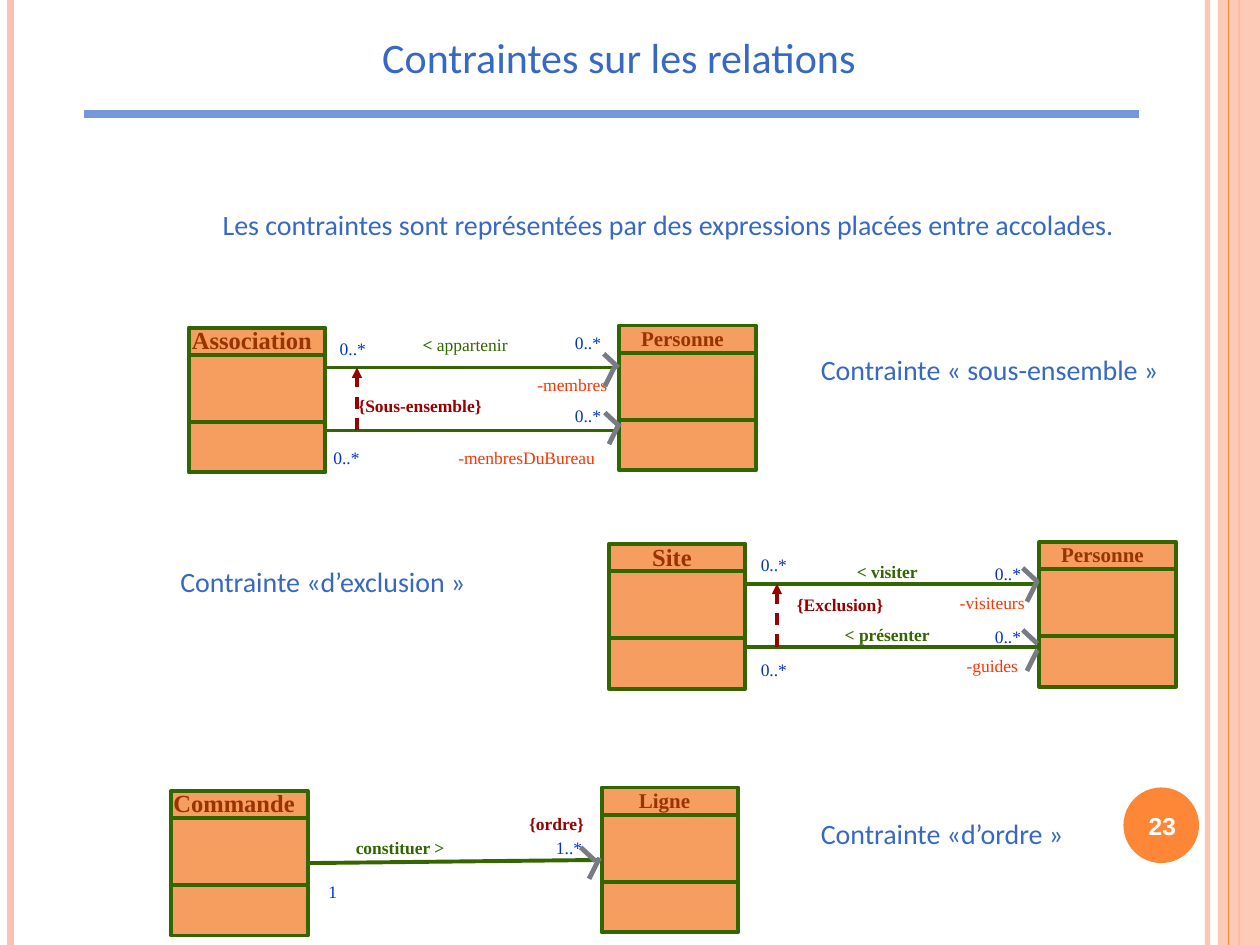
from dataclasses import dataclass

from lxml.etree import SubElement
from pptx import Presentation
from pptx.dml.color import RGBColor
from pptx.enum.dml import MSO_LINE
from pptx.enum.shapes import MSO_CONNECTOR, MSO_SHAPE
from pptx.enum.text import MSO_ANCHOR, MSO_AUTO_SIZE, PP_ALIGN
from pptx.oxml.ns import qn
from pptx.util import Inches, Pt

# The slide is a grid of 120 columns by 90 rows
COLUMNS, ROWS = 120, 90
COLORS = {
    "peach": "FEC3AE", "orange": "FE8637", "white": "FFFFFF",
    "rule": "7598D9", "heading": "3668C4", "class_fill": "F69D60",
    "green": "336600", "class_name": "993300", "constraint": "990000",
    "role": "FF3300", "multiplicity": "0033CC", "arrow": "777C84",
}
CLASS_WIDTH, CLASS_HEIGHT = 13, 13.8
SERIF = "Times New Roman"


@dataclass(frozen=True)
class UmlClass:
    name: str
    column: float
    row: float


@dataclass(frozen=True)
class Diagram:
    left: UmlClass
    right: UmlClass
    line_rows: tuple[float, ...] = ()  # empty: one line joins the side middles
    constraint_column: float = 0


@dataclass(frozen=True)
class Label:
    text: str
    kind: str
    column: float
    row: float
    width: float = 12
    align: PP_ALIGN = PP_ALIGN.CENTER


DIAGRAMS = [
    Diagram(UmlClass("Association", 18, 31.2), UmlClass("Personne", 59, 31), (35, 41), 34),
    Diagram(UmlClass("Site", 58, 51.8), UmlClass("Personne", 99, 51.6), (55.6, 61.6), 74),
    Diagram(UmlClass("Commande", 16.3, 75.3), UmlClass("Ligne", 57.3, 75)),
]
LABELS = [
    # Sous-ensemble
    Label("{Sous-ensemble}", "constraint", 21, 37, 38),
    Label("0..*", "multiplicity", 27.6, 31.6),
    Label("0..*", "multiplicity", 27, 42),
    Label("0..*", "multiplicity", 50, 31),
    Label("0..*", "multiplicity", 50, 38),
    Label("-membres", "role", 46, 35, 17),
    Label("-menbresDuBureau", "role", 37.3, 42, 25.7),
    # Exclusion
    Label("{Exclusion}", "constraint", 61, 56, 38),
    Label("< visiter", "green", 66, 52.8, 37),
    Label("< présenter", "green", 66, 58.8, 37),
    Label("0..*", "multiplicity", 67.7, 52.2),
    Label("0..*", "multiplicity", 67.7, 62.2),
    Label("0..*", "multiplicity", 90, 53),
    Label("0..*", "multiplicity", 90, 59),
    Label("-visiteurs", "role", 86, 55.8, 17),
    Label("-guides", "role", 86, 61.8, 17),
    # Ordre
    Label("{ordre}", "constraint", 34, 76.8, 38),
    Label("constituer >", "green", 32.7, 79.1, 14, PP_ALIGN.LEFT),
    Label("1..*", "multiplicity", 48.2, 79.1),
    Label("1", "multiplicity", 25.7, 83.3),
]
CAPTIONS = [
    ("Contrainte « sous-ensemble »", 77, 33),
    ("Contrainte «d’exclusion »", 16, 53.2),
    ("Contrainte «d’ordre »", 77, 77.2),
]
# Tips of the upper and lower strokes of each open arrowhead
ARROW_TIPS = [
    ((58.9, 35), (58.6, 34.8)),
    ((59, 40.6), (59, 40.3)),
    ((98.8, 55.4), (98.8, 55.3)),
    ((98.8, 61.3), (98.8, 61.9)),
    ((56.7, 82), (57.1, 81.7)),
]

presentation = Presentation()
presentation.slide_width, presentation.slide_height = Inches(10), Inches(7.5)
slide = presentation.slides.add_slide(presentation.slide_layouts[1])
shapes = slide.shapes


def across(columns: float) -> int:
    return round(presentation.slide_width * columns / COLUMNS)


def down(rows: float) -> int:
    return round(presentation.slide_height * rows / ROWS)


def rgb(name: str) -> RGBColor:
    return RGBColor.from_string(COLORS[name])


def box(column, row, width, height):
    return across(column), down(row), across(width), down(height)


def set_opacity(element, percent: int) -> None:
    color = next(element.iter(qn("a:srgbClr")))
    SubElement(color, qn("a:alpha"), val=str(percent * 1000))


def draw_line(start, end, color: str, width: float):
    line = shapes.add_connector(MSO_CONNECTOR.STRAIGHT, across(start[0]), down(start[1]),
                                across(end[0]), down(end[1]))
    line.line.color.rgb = rgb(color)
    line.line.width = Pt(width)
    SubElement(line._element.spPr, qn("a:effectLst"))
    return line


def draw_shape(kind, place, fill: str, line_color: str | None = None):
    shape = shapes.add_shape(kind, *box(*place))
    shape.shadow.inherit = False
    shape.fill.solid()
    shape.fill.fore_color.rgb = rgb(fill)
    if line_color:
        shape.line.color.rgb = rgb(line_color)
        shape.line.width = Pt(2.25)
    else:
        shape.line.fill.background()
    return shape


def write(text: str, place, *, holder=None, size=16, font="Calibri", color="heading",
          bold=False, align=PP_ALIGN.LEFT, anchor=MSO_ANCHOR.TOP, wrap=True):
    if holder is None:
        holder = shapes.add_textbox(*box(*place))
    else:
        holder.left, holder.top, holder.width, holder.height = box(*place)
    frame = holder.text_frame
    frame.word_wrap = wrap
    frame.auto_size = MSO_AUTO_SIZE.NONE
    frame.vertical_anchor = anchor
    paragraph = frame.paragraphs[0]
    properties = paragraph._p.get_or_add_pPr()
    properties.set("marL", "0")
    properties.set("indent", "0")
    paragraph.alignment = align
    paragraph.space_before = Pt(0)
    SubElement(properties, qn("a:buNone"))
    run = paragraph.add_run()
    run.text = text
    run.font.size, run.font.name, run.font.bold = Pt(size), font, bold
    run.font.color.rgb = rgb(color)
    return paragraph


def draw_class(uml_class: UmlClass, name_place, name_size: int):
    column, row = uml_class.column, uml_class.row
    outline = draw_shape(MSO_SHAPE.RECTANGLE, (column, row, CLASS_WIDTH, CLASS_HEIGHT),
                         "class_fill", "green")
    draw_shape(MSO_SHAPE.RECTANGLE, (column, row + 2.6, CLASS_WIDTH, 6.4),
               "class_fill", "green")
    shift, rise, width, height = name_place
    write(uml_class.name, (column + shift, row + rise, width, height), size=name_size,
          font=SERIF, color="class_name", bold=True, align=PP_ALIGN.CENTER)
    return outline


def draw_diagram(diagram: Diagram) -> None:
    left, right = diagram.left, diagram.right
    left_outline = draw_class(left, (-3, -0.8, 18, 4), 14)
    right_outline = draw_class(right, (-2, -0.6, 16, 3.6), 12)
    for row in diagram.line_rows or (left.row + CLASS_HEIGHT / 2,):
        line = draw_line((left.column + CLASS_WIDTH, row), (right.column, row), "green", 2.25)
    if diagram.line_rows:
        upper, lower = diagram.line_rows
        dashed = draw_line((diagram.constraint_column, lower),
                           (diagram.constraint_column, upper), "constraint", 1.75)
        dashed.line.dash_style = MSO_LINE.DASH
        SubElement(dashed.line._get_or_add_ln(), qn("a:tailEnd"), type="triangle")
    else:
        line.begin_connect(left_outline, 3)
        line.end_connect(right_outline, 1)


# Side bands and page number disc
edge = draw_line((115, 0), (115, ROWS), "peach", 3)
set_opacity(edge._element, 93)
draw_line((1, 0), (1, ROWS), "peach", 4.5)
draw_line((118, 0), (118, ROWS), "orange", 1.5)
band = draw_shape(MSO_SHAPE.RECTANGLE, (116, 0, 4, ROWS), "peach")
set_opacity(band._element, 87)
draw_line((117, 0), (117, ROWS), "orange", 0.75)
draw_shape(MSO_SHAPE.OVAL, (107, 75, 7.2, 7.2), "orange")
write("23", (106.7, 75.2, 8, 6.8), size=14, font="Arial", color="white", bold=True,
      align=PP_ALIGN.CENTER, anchor=MSO_ANCHOR.MIDDLE)

# Title, rule and statement
write("Contraintes sur les relations", (31.4, 2.4, 55.1, 6), holder=shapes.title,
      size=24, align=PP_ALIGN.CENTER, wrap=False)
draw_line((8, 10.9), (108.5, 10.9), "rule", 4.5)
write("Les contraintes sont représentées par des expressions placées entre accolades.",
      (20, 19.2, 97, 7.7), holder=slide.placeholders[1])

# Diagrams with their captions and labels
for diagram in DIAGRAMS:
    draw_diagram(diagram)
for text, column, row in CAPTIONS:
    write(text, (column, row, 41, 4.4))
for label in LABELS:
    write(label.text, (label.column, label.row, label.width, 3.2), size=10, font=SERIF,
          color=label.kind, bold=label.kind in ("constraint", "green"), align=label.align)
association_name = write("< ", (25.8, 31.2, 37, 3.2), size=10, font=SERIF, color="green",
                         bold=True, align=PP_ALIGN.CENTER)
verb = association_name.add_run()
verb.text = "appartenir"
verb.font.size, verb.font.name = Pt(10), SERIF
verb.font.color.rgb = rgb("green")

# Open arrowheads
for upper_tip, lower_tip in ARROW_TIPS:
    draw_line(upper_tip, (upper_tip[0] - 1.4, upper_tip[1] - 1.3), "arrow", 2.75)
    draw_line(lower_tip, (lower_tip[0] - 1, lower_tip[1] + 2), "arrow", 2.75)

presentation.save("out.pptx")
